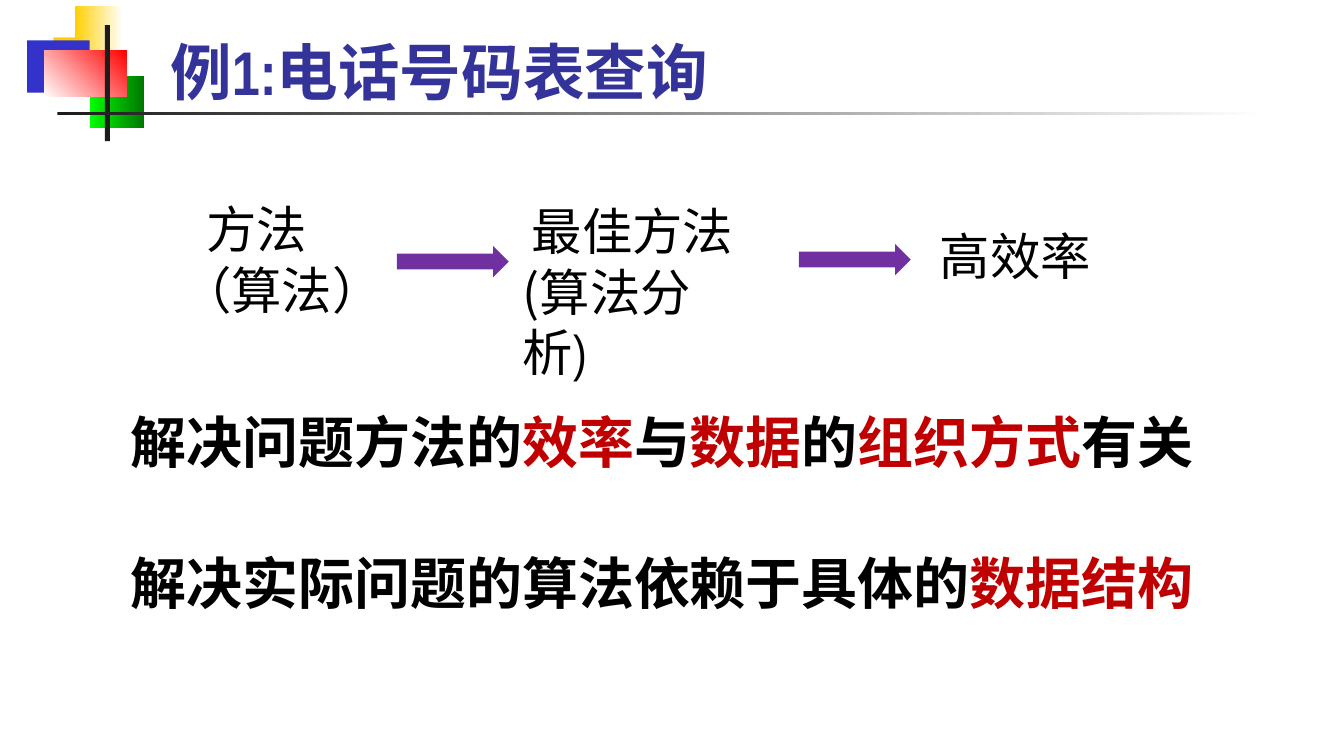
import pptx
import pptx.util
import pptx.dml.color
import pptx.enum.shapes
import pptx.enum.text
import pptx.oxml
import pptx.oxml.ns

Inches = pptx.util.Inches
Shapes = pptx.enum.shapes.MSO_SHAPE
CJK = "Noto Sans CJK SC"
NARROW = "Arial Narrow"
BLACK, RED, PURPLE, INDIGO = "000000", "C00000", "7030A0", "333399"

ORNAMENTS = [
    ((0.53, 0.37, 0.64, 0.52), ["FFCF01"], 0),
    ((0.74, 0.06, 0.48, 0.52), ["FFCF01", "FFFFFF"], 0),
    ((0.27, 0.4, 0.62, 0.52), ["3333CC"], 0),
    ((0.89, 0.75, 0.54, 0.52), ["00FF00", "007600"], 0),
    ((0.44, 0.5, 0.82, 0.46), ["FFFFFF", "FF0000"], 45),
    ((1.04, 0.25, 0.05, 1.15), ["1C1C1C"], 0),
    ((0.57, 1.11, 12, 0.03), ["1C1C1C", "FFFFFF"], 0),
]

STEPS = [
    ((1.7, 1.92, 2.2, 1.3), 0.25, [("方法（算法", BLACK, CJK), ("）", BLACK, NARROW)]),
    ((5.09, 1.94, 2.47, 1.9), 0.09, [("最佳方法(算法分析", BLACK, CJK), (")", BLACK, NARROW)]),
    ((9.23, 2.18, 2.2, 0.7), 0, [("高效率", BLACK, CJK)]),
]

ARROWS = [(3.94, 2.44, 1.11, 0.31), (7.93, 2.42, 1.11, 0.31)]

CONCLUSIONS = [
    ((1.2, 3.99, 11.19, 1.02), [
        ("解决问题方法的", BLACK, CJK), ("效率", RED, CJK), ("与", BLACK, CJK),
        ("数据", RED, CJK), ("的", BLACK, CJK), ("组织方式", RED, CJK), ("有关", BLACK, CJK)]),
    ((1.2, 5.39, 11.15, 0.77), [
        ("解决实际问题的算法依赖于具体的", BLACK, CJK), ("数据结构", RED, CJK)]),
]


def color(value):
    return pptx.dml.color.RGBColor.from_string(value)


def apply_format(target, values):
    for name, value in values.items():
        setattr(target, name, value)


def place(shape, bounds):
    names = ("left", "top", "width", "height")
    apply_format(shape, dict(zip(names, map(Inches, bounds))))


def add_block(page, kind, bounds, colors, angle=0):
    block = page.shapes.add_shape(kind, *map(Inches, bounds))
    block.shadow.inherit = False
    block.line.fill.background()
    if len(colors) == 1:
        block.fill.solid()
        block.fill.fore_color.rgb = color(colors[0])
        return
    block.fill.gradient()
    block.fill.gradient_angle = angle
    for stop, position, value in zip(block.fill.gradient_stops, (0, 1), colors):
        apply_format(stop, {"position": position})
        stop.color.rgb = color(value)


def write_spans(para, spans, size, bold):
    for text, shade, font in spans:
        span = para.add_run()
        span.text = text
        apply_format(span.font, {"size": pptx.util.Pt(size), "bold": bold, "name": font})
        span.font.color.rgb = color(shade)
        east_asian = pptx.oxml.parse_xml(
            f'<a:ea {pptx.oxml.ns.nsdecls("a")} typeface="{CJK}"/>')
        span.font._element.find(pptx.oxml.ns.qn("a:latin")).addnext(east_asian)


def add_text(page, bounds, spans, size, bold=False, indent=0):
    box = page.shapes.add_textbox(*map(Inches, bounds))
    box.text_frame.word_wrap = True
    para = box.text_frame.paragraphs[0]
    para._p.get_or_add_pPr().set("indent", str(Inches(indent)))
    write_spans(para, spans, size, bold)


def set_title(page, bounds, text):
    title = page.shapes.title
    place(title, bounds)
    apply_format(title.text_frame, {
        "word_wrap": True,
        "vertical_anchor": pptx.enum.text.MSO_ANCHOR.BOTTOM,
        "auto_size": pptx.enum.text.MSO_AUTO_SIZE.NONE,
    })
    para = title.text_frame.paragraphs[0]
    para.alignment = pptx.enum.text.PP_ALIGN.LEFT
    write_spans(para, [(text, INDIGO, NARROW)], 44, True)


def main():
    deck = pptx.Presentation()
    apply_format(deck, {"slide_width": Inches(13.34), "slide_height": Inches(7.5)})
    page = deck.slides.add_slide(deck.slide_layouts[5])
    set_title(page, (1.59, 0.25, 7.22, 0.87), "例1:电话号码表查询")
    for bounds, colors, angle in ORNAMENTS:
        add_block(page, Shapes.RECTANGLE, bounds, colors, angle)
    for bounds, indent, spans in STEPS:
        add_text(page, bounds, spans, 36, indent=indent)
    for bounds in ARROWS:
        add_block(page, Shapes.RIGHT_ARROW, bounds, [PURPLE])
    for bounds, spans in CONCLUSIONS:
        add_text(page, bounds, spans, 40, bold=True)
    deck.save("out.pptx")


if __name__ == "__main__":
    main()
